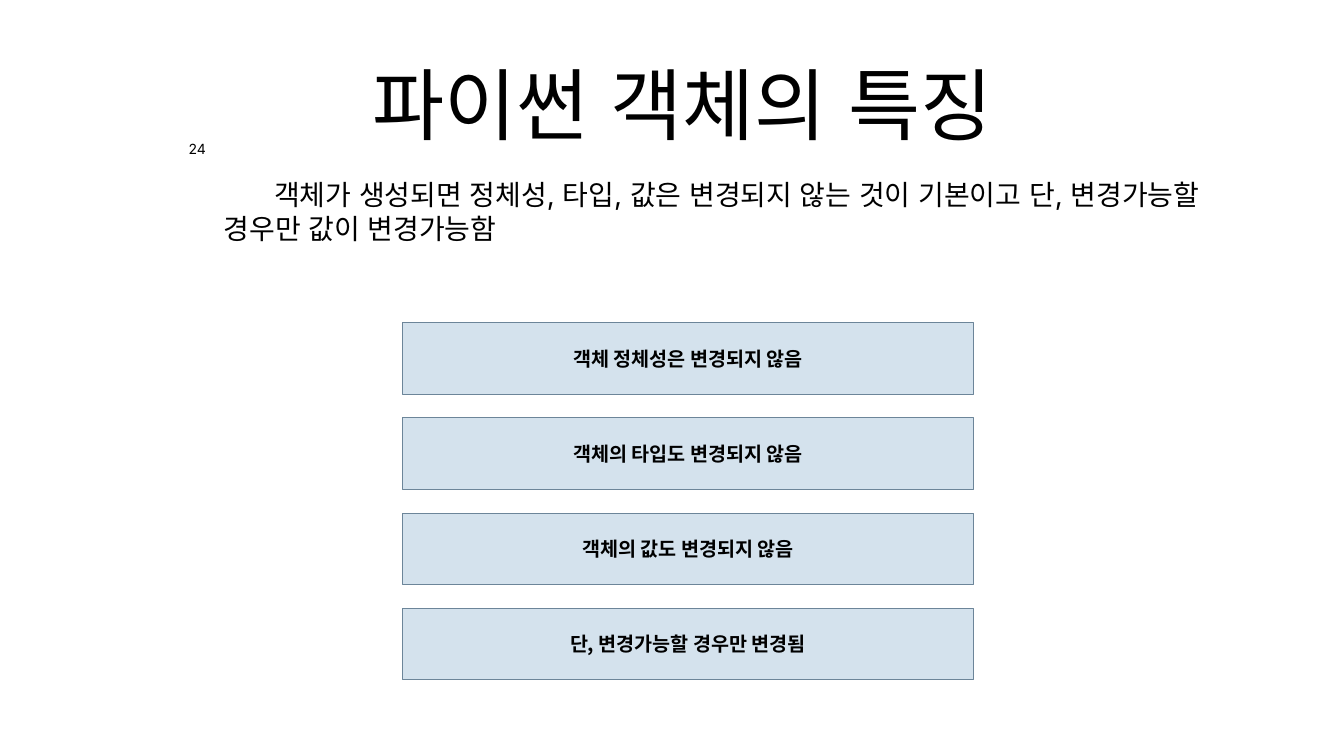
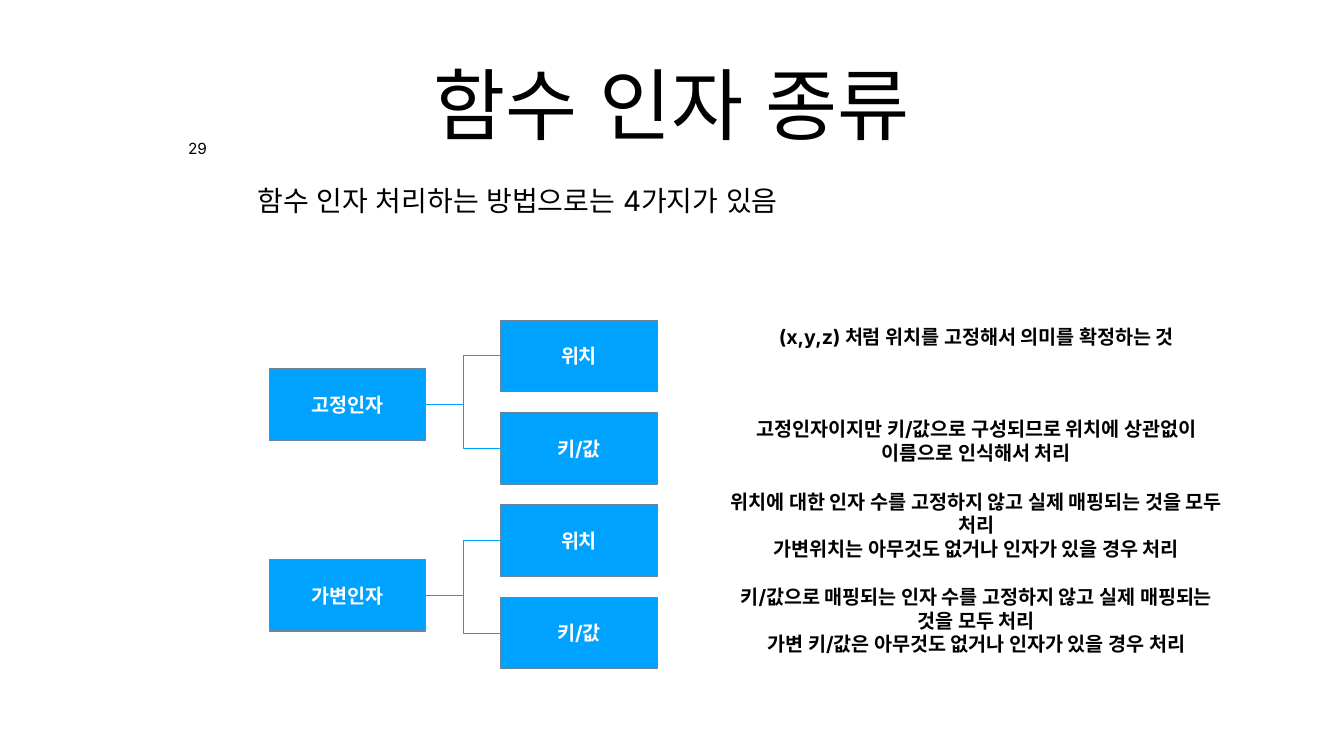
from dataclasses import dataclass

from lxml import etree
from pptx import Presentation
from pptx import util as u
from pptx.dml import color
from pptx.enum import shapes, text
from pptx.oxml import ns


@dataclass(frozen=True)
class Theme:
    """Colours, fonts and type sizes shared by the slides."""
    ink: str = "000000"
    white: str = "FFFFFF"
    pale: str = "D4E2ED"
    blue: str = "00A2FF"
    edge: str = "6C8599"
    font: str = "Inter"
    korean: str = "Noto Sans CJK KR"
    title: int = 112
    body: int = 40
    label: int = 28


THEME = Theme()
TOP, MID = text.MSO_ANCHOR.TOP, text.MSO_ANCHOR.MIDDLE
LEFT, MIDDLE = text.PP_ALIGN.LEFT, text.PP_ALIGN.CENTER


def rgb(code):
    """Turn a hex code into a colour."""
    return color.RGBColor.from_string(code)


def inches(box):
    """Turn a tuple of numbers into lengths."""
    return [u.Inches(side) for side in box]


def write(frame, lines, size, ink=THEME.ink, font=THEME.font, bold=False,
          align=MIDDLE, anchor=TOP, inset=(0.08, 0.08), wrap=True):
    """Fill a text frame with one paragraph for each line."""
    frame.word_wrap = wrap
    if not wrap:
        frame.auto_size = text.MSO_AUTO_SIZE.SHAPE_TO_FIT_TEXT
    frame.vertical_anchor = anchor
    frame.margin_left = frame.margin_right = u.Inches(inset[0])
    frame.margin_top = frame.margin_bottom = u.Inches(inset[1])
    for i, line in enumerate(lines):
        para = frame.add_paragraph() if i else frame.paragraphs[0]
        para.alignment = align
        run = para.add_run()
        run.text = line
        run.font.size = u.Pt(size)
        run.font.bold = bold
        run.font.name = font
        run.font.color.rgb = rgb(ink)
        east = etree.SubElement(run.font._element, ns.qn("a:ea"))
        east.set("typeface", font)
    return frame.paragraphs[0]


def put_text(slide, box, lines, size, **style):
    """Add a text box and return its first paragraph."""
    frame = slide.shapes.add_textbox(*inches(box)).text_frame
    return write(frame, lines, size, **style)


def add_title(slide, box, words):
    """Place the centred slide title."""
    put_text(slide, box, [words], THEME.title, anchor=MID)


def add_body(slide, box, words, indent):
    """Place the lead sentence with its first line indented."""
    para = put_text(slide, box, [words], THEME.body, align=LEFT)
    para.space_before = u.Pt(10)
    props = para._p.get_or_add_pPr()
    props.set("marL", "0")
    props.set("indent", str(u.Inches(indent)))


def add_number(slide, box, number, size):
    """Place the page number on one line."""
    para = put_text(slide, box, [number], size, inset=(0, 0.08), wrap=False)
    para.line_spacing = 0.8


def add_block(slide, box, words, fill, ink, font=THEME.font):
    """Place a labelled rectangle and return it."""
    block = slide.shapes.add_shape(shapes.MSO_SHAPE.RECTANGLE, *inches(box))
    block.shadow.inherit = False
    block.fill.solid()
    block.fill.fore_color.rgb = rgb(fill)
    block.line.color.rgb = rgb(THEME.edge)
    block.line.width = u.Pt(1.5)
    write(block.text_frame, [words], THEME.label, ink, font, True,
          anchor=MID, inset=(0.1, 0.1))
    return block


def link(slide, start, end):
    """Join the right side of one block to the left side of another."""
    line = slide.shapes.add_connector(shapes.MSO_CONNECTOR.ELBOW, 0, 0, 0, 0)
    line.begin_connect(start, 3)
    line.end_connect(end, 1)
    line.line.color.rgb = rgb(THEME.blue)
    line.line.width = u.Pt(0.79)
    etree.SubElement(line._element.spPr, ns.qn("a:effectLst"))


def add_stack(slide, box, labels, height):
    """Spread labelled bars evenly down the box."""
    left, top, width, depth = box
    step = (depth - height) / (len(labels) - 1)
    for i, label in enumerate(labels):
        add_block(slide, (left, top + i * step, width, height), label,
                  THEME.pale, THEME.ink, THEME.korean)


def add_tree(slide, box, roots, leaves, size):
    """Draw each root on the left, linked to its leaves on the right."""
    left, top, width, depth = box
    wide, high = size
    count = len(roots) * len(leaves)
    step = (depth - high) / (count - 1)
    for i, (name, drop) in enumerate(roots):
        root = add_block(slide, (left, top + drop, wide, high), name,
                         THEME.blue, THEME.white)
        for j, leaf in enumerate(leaves):
            y = top + (i * len(leaves) + j) * step
            child = add_block(slide, (left + width - wide, y, wide, high),
                              leaf, THEME.blue, THEME.white)
            link(slide, root, child)


def add_notes(slide, box, notes):
    """Place the explanations, each at its own drop and height."""
    left, top, width, _ = box
    for drop, height, lines in notes:
        put_text(slide, (left, top + drop, width, height), lines,
                 THEME.label, bold=True, inset=(0.1, 0.05))


def start_slide(deck, title):
    """Add a blank slide with its title."""
    slide = deck.slides.add_slide(deck.slide_layouts[6])
    add_title(slide, (4.8, 0.39, 17.07, 3.32), title)
    return slide


def object_slide(deck):
    """Build the slide on the traits of objects."""
    slide = start_slide(deck, " 파이썬 객체의 특징")
    add_body(slide, (4.36, 3.45, 21.14, 3.1),
             "객체가 생성되면 정체성, 타입, 값은 변경되지 않는 것이 기본이고 단, "
             "변경가능할 경우만 값이 변경가능함", 1)
    add_number(slide, (3.68, 2.78, 0.47, 0.43), "24", 20)
    add_stack(slide, (7.98, 6.4, 11.34, 7.09),
              ["객체 정체성은 변경되지 않음", "객체의 타입도 변경되지 않음",
               "객체의 값도 변경되지 않음", "단, 변경가능할 경우만 변경됨"], 1.42)


def argument_slide(deck):
    """Build the slide on the kinds of function arguments."""
    slide = start_slide(deck, "함수 인자 종류")
    add_body(slide, (4.33, 3.56, 18, 2.83),
             "함수 인자 처리하는 방법으로는 4가지가 있음", 0.7)
    add_tree(slide, (5.34, 6.35, 7.7, 6.92),
             [("고정인자", 0.97), ("가변인자", 4.75)], ["위치", "키/값"],
             (3.1, 1.42))
    add_notes(slide, (14.27, 6.4, 10.21, 6.67), [
        (0, 0.57, ["(x,y,z) 처럼 위치를 고정해서 의미를 확정하는 것"]),
        (1.83, 1.04, ["고정인자이지만 키/값으로 구성되므로 위치에 상관없이 "
                      "이름으로 인식해서 처리"]),
        (3.27, 1.51, ["위치에 대한 인자 수를 고정하지 않고 실제 매핑되는 것을 모두 처리",
                      "가변위치는 아무것도 없거나 인자가 있을 경우 처리"]),
        (5.16, 1.51, ["키/값으로 매핑되는 인자 수를 고정하지 않고 실제 매핑되는 "
                      "것을 모두 처리",
                      "가변 키/값은 아무것도 없거나 인자가 있을 경우 처리"]),
    ])
    add_number(slide, (3.67, 2.75, 0.5, 0.45), "29", 22)


def main():
    """Build and save the deck."""
    deck = Presentation()
    deck.slide_width, deck.slide_height = inches((26.67, 15))
    object_slide(deck)
    argument_slide(deck)
    deck.save("out.pptx")


main()
